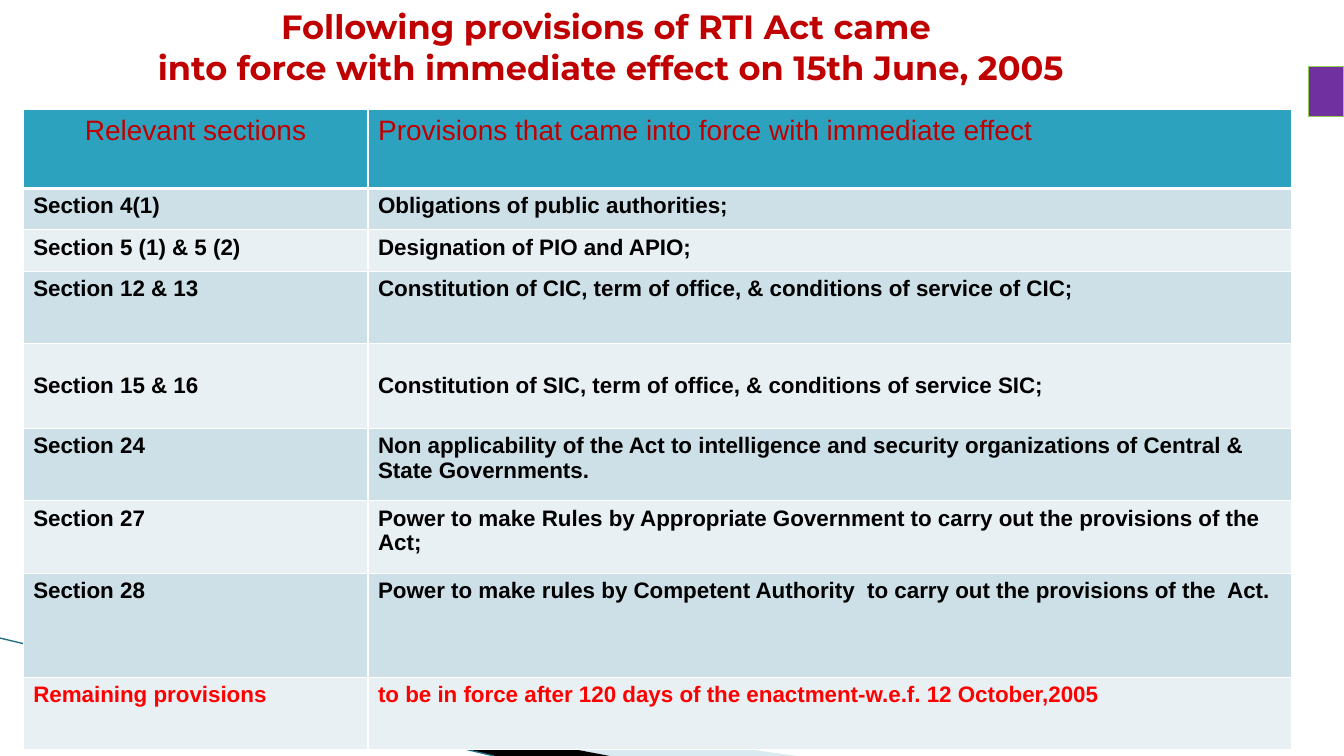
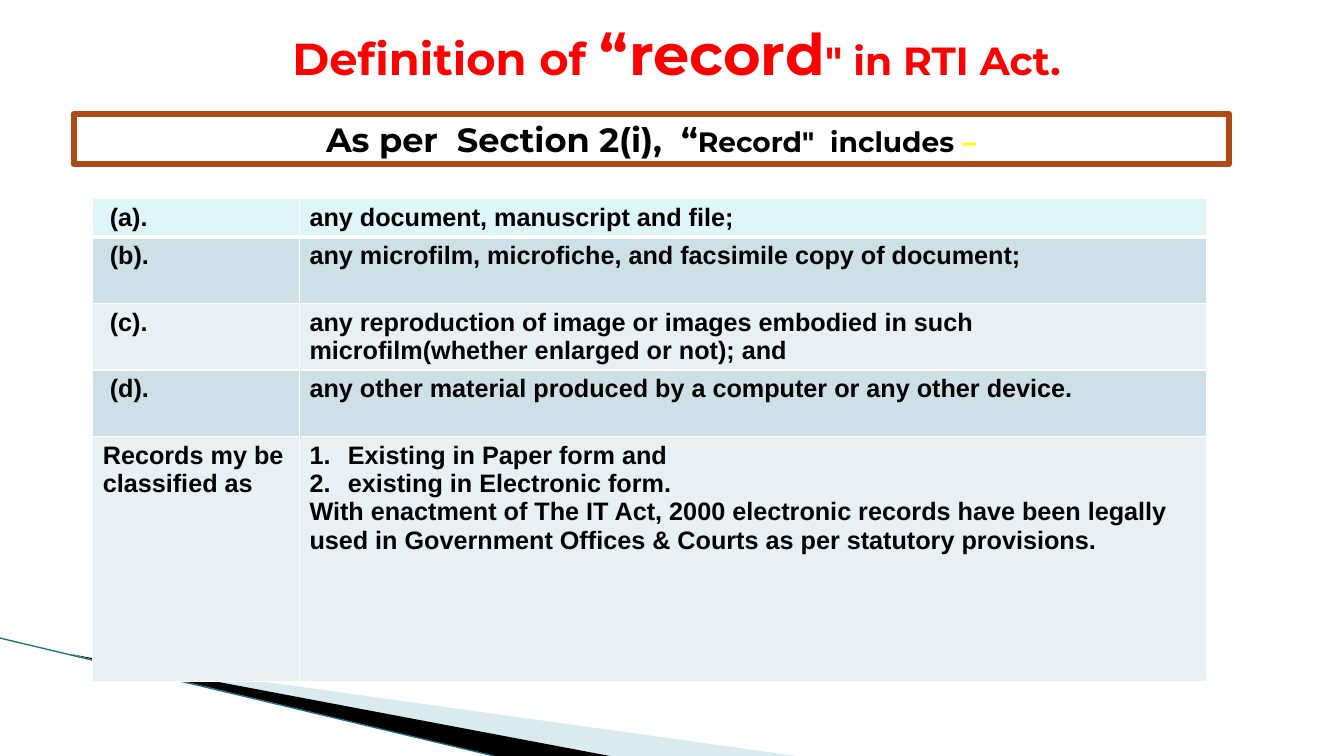
import dataclasses

import lxml.etree
import pptx
import pptx.dml.color
import pptx.enum.shapes
import pptx.enum.text
import pptx.oxml
import pptx.oxml.ns
import pptx.util

Inches = pptx.util.Inches
Pt = pptx.util.Pt
qn = pptx.oxml.ns.qn
CENTER = pptx.enum.text.PP_ALIGN.CENTER
LEFT = pptx.enum.text.PP_ALIGN.LEFT
MIDDLE = pptx.enum.text.MSO_ANCHOR.MIDDLE
TOP = pptx.enum.text.MSO_ANCHOR.TOP


@dataclasses.dataclass(frozen=True)
class Theme:
    title_font: str = "Montserrat"
    body_font: str = "Arial"
    black: str = "000000"
    white: str = "FFFFFF"
    dark_red: str = "C00000"
    red: str = "FF0000"
    yellow: str = "FFFF00"
    purple: str = "7030A0"
    green: str = "92D050"
    rust: str = "AE4A14"
    header: str = "2DA2BF"
    pale_header: str = "DEF5FA"
    bands: tuple = ("CDE0E8", "E8F0F4")
    swoosh: str = "A0CBDC"
    swoosh_line: str = "1F7086"
    title: float = 24
    large_title: float = 32
    title_accent: float = 41
    title_end: float = 28
    banner: float = 24
    banner_end: float = 20
    header_text: float = 20
    section_text: float = 16
    record_text: float = 18


THEME = Theme()


@dataclasses.dataclass(frozen=True)
class CellStyle:
    size: float
    color: str = THEME.black
    bold: bool = True
    align: int = LEFT
    anchor: int = TOP


def rgb(color):
    return pptx.dml.color.RGBColor.from_string(color)


def set_font(font, name, size, color, bold=True):
    font.name = name
    font.size = Pt(size)
    font.bold = bold
    font.color.rgb = rgb(color)


def paint(sp, fill, line=None, width=0):
    sp.shadow.inherit = False
    sp.fill.solid()
    sp.fill.fore_color.rgb = rgb(fill)
    if line:
        sp.line.color.rgb = rgb(line)
        sp.line.width = Pt(width)
    else:
        sp.line.fill.background()


def add_wedge(slide, points, fill, alpha=None):
    """Draw a filled polygon; alpha is its opacity in percent."""
    start, *rest = [(Inches(x), Inches(y)) for x, y in points]
    builder = slide.shapes.build_freeform(*start)
    builder.add_line_segments(rest, close=True)
    sp = builder.convert_to_shape()
    paint(sp, fill)
    if alpha:
        clr = sp._element.spPr.find(qn("a:solidFill")).find(qn("a:srgbClr"))
        lxml.etree.SubElement(clr, qn("a:alpha")).set("val", str(alpha * 1000))


def add_swoosh(slide):
    """Draw the corner decoration that every slide carries."""
    add_wedge(slide, [(0.73, 6.5), (7.9, 7.5), (6.05, 7.5)], THEME.swoosh, 40)
    add_wedge(slide, [(0.71, 6.49), (6.05, 7.5), (4.9, 7.5)], THEME.black)
    line = slide.shapes.add_connector(
        pptx.enum.shapes.MSO_CONNECTOR.STRAIGHT,
        Inches(0), Inches(6.33), Inches(4.9), Inches(7.5))
    line.line.color.rgb = rgb(THEME.swoosh_line)
    line.line.width = Pt(0.95)
    lxml.etree.SubElement(line._element.spPr, qn("a:effectLst"))


def add_slide(prs):
    slide = prs.slides.add_slide(prs.slide_layouts[6])
    add_swoosh(slide)
    return slide


def write_runs(p, runs):
    """Fill a centred heading paragraph with (text, size, color) runs."""
    p.alignment = CENTER
    for text, size, color in runs:
        r = p.add_run()
        r.text = text
        set_font(r.font, THEME.title_font, size, color)


def add_title(slide, box, lines):
    """Write a title; each line is a list of runs."""
    tf = slide.shapes.add_textbox(*map(Inches, box)).text_frame
    tf.word_wrap = True
    tf.vertical_anchor = MIDDLE
    for i, runs in enumerate(lines):
        write_runs(tf.add_paragraph() if i else tf.paragraphs[0], runs)


def add_box(slide, box, fill, line, width):
    sp = slide.shapes.add_shape(
        pptx.enum.shapes.MSO_SHAPE.RECTANGLE, *map(Inches, box))
    paint(sp, fill, line, width)
    return sp


def set_borders(cell, top, bottom):
    """Give a cell white borders; top and bottom are widths in points."""
    tcPr = cell._tc.get_or_add_tcPr()
    for tag, width in (("lnL", 1), ("lnR", 1), ("lnT", top), ("lnB", bottom)):
        ln = lxml.etree.SubElement(tcPr, qn(f"a:{tag}"), w=str(Pt(width)))
        fill = lxml.etree.SubElement(ln, qn("a:solidFill"))
        lxml.etree.SubElement(fill, qn("a:srgbClr"), val=THEME.white)


def number_paragraph(p):
    pPr = p._p.get_or_add_pPr()
    indent = Inches(0.38)
    pPr.set("marL", str(indent))
    pPr.set("indent", str(-indent))
    bullet = pptx.oxml.parse_xml(
        '<a:buAutoNum xmlns:a="http://schemas.openxmlformats.org/drawingml/'
        '2006/main" type="arabicPeriod"/>')
    pPr.insert(0, bullet)


def write_cell(cell, text, style, numbered=0):
    """Write text, one paragraph a line; the first few may be numbered."""
    tf = cell.text_frame
    tf.text = text
    cell.vertical_anchor = style.anchor
    for i, p in enumerate(tf.paragraphs):
        p.alignment = style.align
        set_font(p.font, THEME.body_font, style.size, style.color, style.bold)
        if i < numbered:
            number_paragraph(p)


def add_banded_table(slide, at, widths, heights, rows, style, header_fill):
    """Add a table whose first row has its own fill and a thick lower edge."""
    left, top = at
    table = slide.shapes.add_table(
        len(rows), len(widths), Inches(left), Inches(top),
        Inches(sum(widths)), Inches(sum(heights))).table
    table.first_row = table.horz_banding = False
    for column, width in zip(table.columns, widths):
        column.width = Inches(width)
    for i, (height, texts) in enumerate(zip(heights, rows)):
        table.rows[i].height = Inches(height)
        fill = THEME.bands[(i - 1) % 2] if i else header_fill
        for j, text in enumerate(texts):
            cell = table.cell(i, j)
            set_borders(cell, 3 if i == 1 else 1, 3 if i == 0 else 1)
            cell.fill.solid()
            cell.fill.fore_color.rgb = rgb(fill)
            write_cell(cell, text, style)
    return table


def build_provisions(prs):
    slide = add_slide(prs)
    rows = [
        ("Relevant sections", "Provisions that came into force with immediate effect"),
        ("Section 4(1)", "Obligations of public authorities;"),
        ("Section 5 (1) & 5 (2)", "Designation of PIO and APIO;"),
        ("Section 12 & 13",
         "Constitution of CIC, term of office, & conditions of service of CIC;"),
        ("Section 15 & 16",
         "Constitution of SIC, term of office, & conditions of service SIC;"),
        ("Section 24",
         "Non applicability of the Act to intelligence and security "
         "organizations of Central & State Governments."),
        ("Section 27",
         "Power to make Rules by Appropriate Government to carry out the "
         "provisions of the  Act;"),
        ("Section 28",
         "Power to make rules by Competent Authority  to carry out the "
         "provisions of the  Act."),
        ("Remaining provisions",
         "to be in force after 120 days of the enactment-w.e.f. 12 October,2005"),
    ]
    heights = [0.78, 0.41, 0.41, 0.72, 0.84, 0.72, 0.72, 1.03, 0.72]
    body = CellStyle(THEME.section_text)
    table = add_banded_table(slide, (0.23, 1.09), (3.42, 9.16), heights, rows,
                             body, THEME.header)

    header = CellStyle(THEME.header_text, THEME.dark_red, bold=False)
    special = {
        0: header,
        4: dataclasses.replace(body, anchor=MIDDLE),
        len(rows) - 1: dataclasses.replace(body, color=THEME.red),
    }
    for i, style in special.items():
        for j, text in enumerate(rows[i]):
            write_cell(table.cell(i, j), text, style)
    table.cell(0, 0).text_frame.paragraphs[0].alignment = CENTER

    lines = ("Following provisions of RTI Act came",
             " into force with immediate effect on 15th June, 2005")
    add_title(slide, (0, 0, 12.02, 0.92),
              [[(text, THEME.title, THEME.dark_red)] for text in lines])
    add_box(slide, (12.98, 0.66, 0.35, 0.5), THEME.purple, THEME.green, 0.75)


def build_record_definition(prs):
    slide = add_slide(prs)
    rows = [
        (" (a).", "any document, manuscript and file;"),
        (" (b).", "any microfilm, microfiche, and facsimile copy of document;"),
        (" (c).",
         "any reproduction of image or images embodied in such "
         "microfilm(whether enlarged or not); and"),
        (" (d).", "any other material produced by a computer or any other device."),
        ("Records my be classified as",
         "Existing in Paper form and\n"
         "existing in Electronic form.\n"
         "With enactment of The IT Act, 2000 electronic records have been "
         "legally used in Government Offices & Courts as per statutory "
         "provisions."),
    ]
    heights = [0.38, 0.66, 0.66, 0.66, 2.43]
    style = CellStyle(THEME.record_text)
    table = add_banded_table(slide, (0.92, 1.97), (2.05, 9), heights, rows,
                             style, THEME.pale_header)
    write_cell(table.cell(4, 1), rows[4][1], style, numbered=2)

    add_title(slide, (0.74, 0.21, 11.94, 0.63), [[
        ("Definition of ", THEME.large_title, THEME.red),
        ("“record", THEME.title_accent, THEME.red),
        ("\" in RTI Act.", THEME.title_end, THEME.red),
    ]])
    banner = add_box(slide, (0.73, 1.13, 11.46, 0.5), THEME.white, THEME.rust, 4.33)
    write_runs(banner.text_frame.paragraphs[0], [
        ("As per  Section 2(i),  “", THEME.banner, THEME.black),
        ("Record\"  includes ", THEME.banner_end, THEME.black),
        ("–", THEME.banner_end, THEME.yellow),
    ])


def main():
    prs = pptx.Presentation()
    prs.slide_width = Inches(13.33)
    prs.slide_height = Inches(7.5)
    build_provisions(prs)
    build_record_definition(prs)
    prs.save("out.pptx")


if __name__ == "__main__":
    main()
